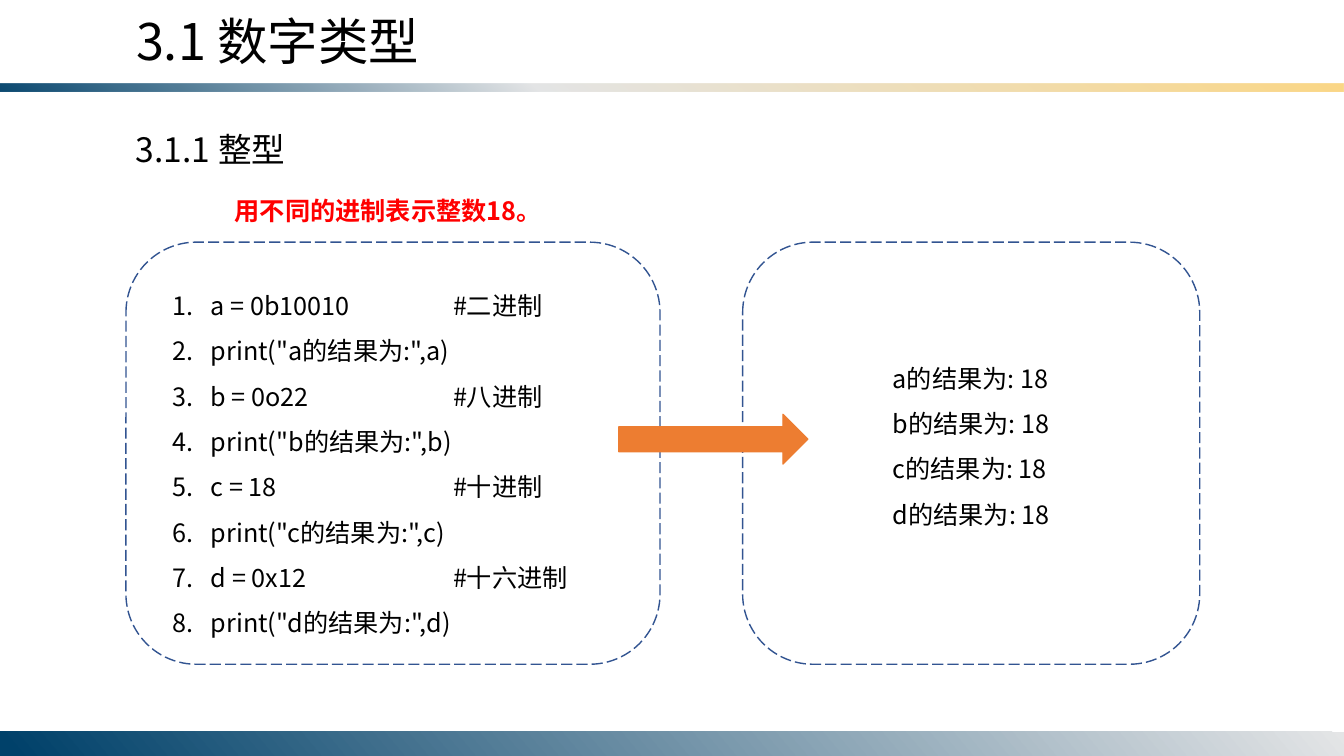
import dataclasses

import pptx
import pptx.dml.color
import pptx.enum.dml
import pptx.enum.shapes
import pptx.enum.text
import pptx.oxml
import pptx.oxml.ns
import pptx.util

Pt = pptx.util.Pt
Shapes = pptx.enum.shapes.MSO_SHAPE
NAMESPACE = pptx.oxml.ns.nsdecls("a")


def color(value):
    return pptx.dml.color.RGBColor.from_string(value)


def element(xml):
    """Turn text into one DrawingML element, given without its namespace declaration."""
    head, tail = xml.split(" ", 1)
    return pptx.oxml.parse_xml(f"{head} {NAMESPACE} {tail}")


@dataclasses.dataclass(frozen=True)
class Theme:
    font: str = "Noto Sans CJK SC"
    text: str = "000000"
    highlight: str = "FF0000"
    outline: str = "325491"
    arrow: str = "ED7D31"
    navy: str = "00416A"
    silver: str = "E4E5E6"
    gold: str = "FBD786"
    title_size: int = 36
    heading_size: int = 24
    body_size: int = 18


class SlideBuilder:
    def __init__(self, presentation, theme):
        self.theme = theme
        self.slide = presentation.slides.add_slide(presentation.slide_layouts[5])

    def set_text(self, shape, lines, size, text_color=None, bold=False,
                 spacing=1.0, numbered=False, comment_tab=200):
        frame = shape.text_frame
        frame.word_wrap = True
        frame.auto_size = pptx.enum.text.MSO_AUTO_SIZE.NONE
        frame.vertical_anchor = pptx.enum.text.MSO_ANCHOR.TOP
        frame.text = "\n".join(lines)
        for paragraph in frame.paragraphs:
            paragraph.alignment = pptx.enum.text.PP_ALIGN.LEFT
            paragraph.line_spacing = spacing
            if numbered:
                properties = paragraph._p.get_or_add_pPr()
                properties.set("marL", str(Pt(27)))
                properties.set("indent", str(Pt(-27)))
                properties.append(element('<a:buFont typeface="+mj-lt"/>'))
                properties.append(element('<a:buAutoNum type="arabicPeriod"/>'))
                properties.append(element(
                    f'<a:tabLst ><a:tab pos="{Pt(comment_tab)}" algn="l"/></a:tabLst>'))
            font = paragraph.font
            font.size = Pt(size)
            font.bold = bold
            font.color.rgb = color(text_color or self.theme.text)
            font.name = self.theme.font
            font._element.append(element(f'<a:ea typeface="{self.theme.font}"/>'))

    def title(self, text, left, top, width, height):
        shape = self.slide.shapes.title
        shape.left, shape.top = Pt(left), Pt(top)
        shape.width, shape.height = Pt(width), Pt(height)
        self.set_text(shape, [text], self.theme.title_size)

    def text(self, lines, left, top, width, height, size, **style):
        shape = self.slide.shapes.add_textbox(Pt(left), Pt(top), Pt(width), Pt(height))
        self.set_text(shape, lines, size, **style)

    def shape(self, kind, left, top, width, height):
        shape = self.slide.shapes.add_shape(
            kind, Pt(left), Pt(top), Pt(width), Pt(height))
        shape.shadow.inherit = False
        return shape

    def gradient_bar(self, top, height, stops, angle, flipped=False):
        """Draw a full-width bar; stops are (percent, colour, opacity percent)."""
        bar = self.shape(Shapes.RECTANGLE, 0, top, 960, height)
        bar.line.fill.background()
        bar.fill.gradient()
        gradient = bar._element.spPr.find(pptx.oxml.ns.qn("a:gradFill"))
        stop_list = gradient.find(pptx.oxml.ns.qn("a:gsLst"))
        for stop in list(stop_list):
            stop_list.remove(stop)
        for position, value, opacity in stops:
            stop_list.append(element(
                f'<a:gs pos="{position * 1000}"><a:srgbClr val="{value}">'
                f'<a:alpha val="{opacity * 1000}"/></a:srgbClr></a:gs>'))
        gradient.find(pptx.oxml.ns.qn("a:lin")).set("ang", str(angle * 60000))
        if flipped:
            bar._element.spPr.xfrm.set("flipV", "1")

    def dashed_panel(self, left, top, width, height):
        panel = self.shape(Shapes.ROUNDED_RECTANGLE, left, top, width, height)
        panel.fill.background()
        panel.line.color.rgb = color(self.theme.outline)
        panel.line.width = Pt(1)
        panel.line.dash_style = pptx.enum.dml.MSO_LINE.LONG_DASH

    def arrow(self, left, top, width, height):
        arrow = self.shape(Shapes.RIGHT_ARROW, left, top, width, height)
        arrow.fill.solid()
        arrow.fill.fore_color.rgb = color(self.theme.arrow)
        arrow.line.color.rgb = color(self.theme.arrow)
        arrow.line.width = Pt(1)


def main():
    presentation = pptx.Presentation()
    presentation.slide_width, presentation.slide_height = Pt(960), Pt(540)
    theme = Theme()
    builder = SlideBuilder(presentation, theme)

    builder.gradient_bar(59.5, 6, [(0, theme.navy, 95), (40, theme.silver, 100),
                                   (100, theme.gold, 100)], 50, flipped=True)
    builder.gradient_bar(522.5, 17.5, [(0, theme.silver, 100),
                                       (99, theme.navy, 100)], 140)

    builder.title("3.1 数字类型", 90, 3.5, 441, 94)
    builder.text(["3.1.1 整型"], 90, 88.5, 185, 36, theme.heading_size)
    builder.text(["用不同的进制表示整数18。"], 160.5, 125.5, 400, 39.5,
                 theme.body_size, text_color=theme.highlight, bold=True, spacing=1.5)

    variables = [("a", "0b10010", "二进制"), ("b", "0o22", "八进制"),
                 ("c", "18", "十进制"), ("d", "0x12", "十六进制")]
    code, results = [], []
    for name, literal, base in variables:
        code += [f"{name} = {literal}\t#{base}", f'print("{name}的结果为:",{name})']
        results.append(f"{name}的结果为: 18")

    builder.text(code, 116.5, 193, 387.5, 268.5, theme.body_size,
                 spacing=1.5, numbered=True)
    builder.dashed_panel(90, 173, 381.5, 301.5)
    builder.text(results, 630.5, 245, 226, 138, theme.body_size, spacing=1.5)
    builder.dashed_panel(530.5, 173, 326.5, 301.5)
    builder.arrow(442, 296, 135, 35.5)

    presentation.save("out.pptx")


if __name__ == "__main__":
    main()
